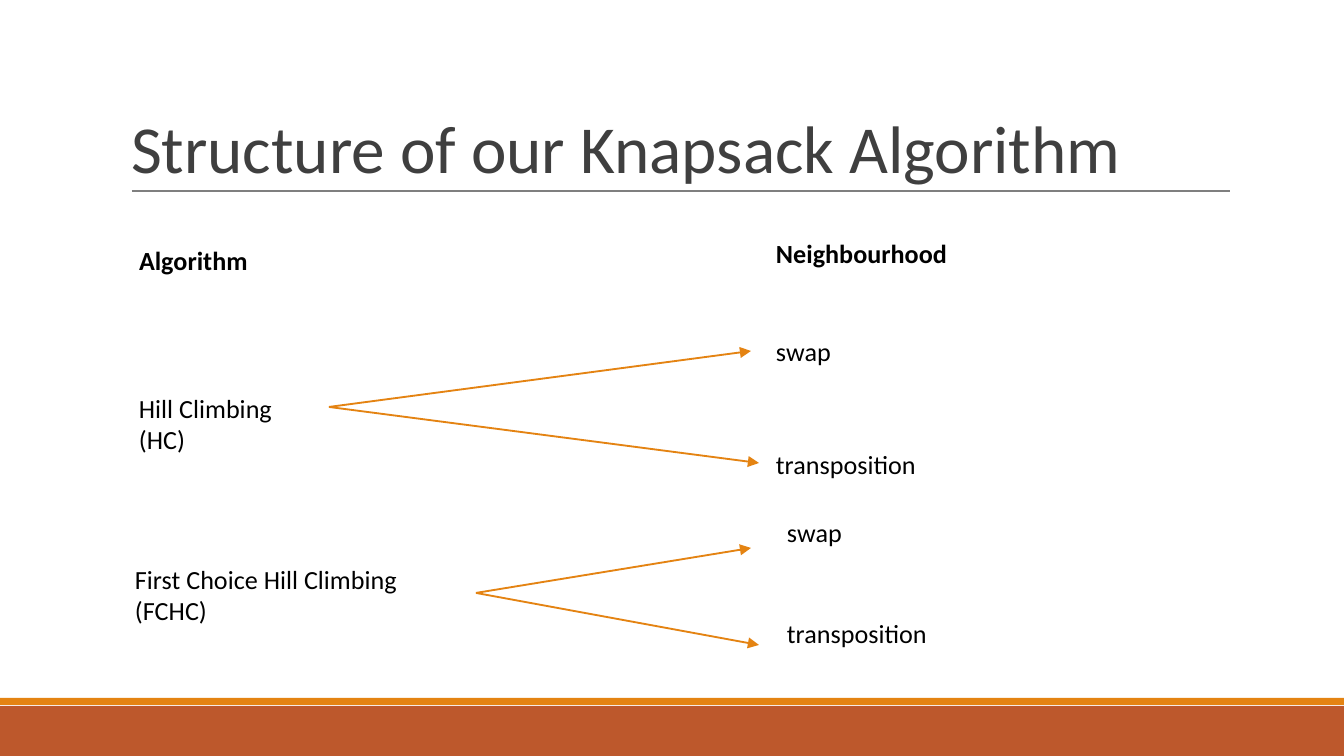
"""Builds the slide that maps each knapsack algorithm to its neighbourhoods."""
from lxml import etree
from pptx import Presentation
from pptx import util as u
from pptx.dml.color import RGBColor
from pptx.enum import shapes, text
from pptx.oxml.ns import qn

EMU_PER_PX = 914400 / 134.4
COLOURS = {
    "brick": "BD582C",
    "orange": "E48312",
    "rule": "7F7F7F",
    "title": "3F3F3F",
    "body": "000000",
}


def px(*lengths):
    return [u.Emu(round(length * EMU_PER_PX)) for length in lengths]


def colour(name):
    return RGBColor.from_string(COLOURS[name])


def assign(target, values):
    for name, value in values.items():
        setattr(target, name, value)


class Page:
    font = "Calibri"
    side, edge = px(10, 5)
    frame_format = {
        "margin_left": side,
        "margin_right": side,
        "margin_top": edge,
        "margin_bottom": edge,
        "word_wrap": True,
        "auto_size": text.MSO_AUTO_SIZE.NONE,
    }

    def __init__(self, deck):
        self.slide = deck.slides.add_slide(deck.slide_layouts[5])

    def fill_text(self, box, words, size, ink, bold=False,
                  anchor=text.MSO_ANCHOR.TOP, spacing=1.0):
        frame = box.text_frame
        assign(frame, self.frame_format | {"vertical_anchor": anchor})
        para = frame.paragraphs[0]
        assign(para, {"alignment": text.PP_ALIGN.LEFT, "line_spacing": spacing})
        span = para.add_run()
        span.text = words
        assign(span.font, {"name": self.font, "size": u.Pt(size), "bold": bold})
        span.font.color.rgb = colour(ink)

    def title(self, words, left, top, width, height):
        box = self.slide.shapes.title
        places = zip(("left", "top", "width", "height"),
                     px(left, top, width, height))
        assign(box, dict(places))
        self.fill_text(box, words, 36, "title",
                       anchor=text.MSO_ANCHOR.BOTTOM, spacing=0.85)

    def label(self, words, left, top, width, height=40, bold=False):
        box = self.slide.shapes.add_textbox(*px(left, top, width, height))
        self.fill_text(box, words, 14, "body", bold)
        return box

    def band(self, fill, top, height):
        bar = self.slide.shapes.add_shape(
            shapes.MSO_SHAPE.RECTANGLE, *px(0, top, 1344, height))
        bar.shadow.inherit = False
        bar.fill.solid()
        bar.fill.fore_color.rgb = colour(fill)
        bar.line.fill.background()

    def line(self, start, end, ink, weight):
        stroke = self.slide.shapes.add_connector(
            shapes.MSO_CONNECTOR.STRAIGHT, *px(*start, *end))
        stroke.line.color.rgb = colour(ink)
        stroke.line.width = u.Pt(weight)
        etree.SubElement(stroke._element.spPr, qn("a:effectLst"))
        return stroke

    def arrow(self, box, end):
        stroke = self.line((0, 0), end, "orange", 1)
        stroke.begin_connect(box, 3)
        outline = stroke.line._get_or_add_ln()
        etree.SubElement(outline, qn("a:tailEnd"), type="triangle")


def main():
    deck = Presentation()
    deck.slide_width, deck.slide_height = px(1344, 756)
    page = Page(deck)

    page.band("brick", 706, 50)
    page.band("orange", 698, 7)
    page.line((132, 191), (1230, 191), "rule", 0.75)
    page.title("Structure of our Knapsack Algorithm", 121, 32, 1109, 160)

    page.label("Algorithm", 129, 239, 246, bold=True)
    page.label("Neighbourhood", 766, 232, 246, bold=True)

    algorithms = [
        ("Hill Climbing (HC)", (129, 387, 200, 40), 766,
         [("swap", 330, 351), ("transposition", 443, 463)]),
        ("First Choice Hill Climbing (FCHC)", (125, 558, 351, 70), 777,
         [("swap", 511, 548), ("transposition", 612, 645)]),
    ]
    for name, place, left, neighbourhoods in algorithms:
        algorithm = page.label(name, *place)
        for (move, top, tip), tip_left in zip(neighbourhoods, (751, 759)):
            page.label(move, left, top, 395)
            page.arrow(algorithm, (tip_left, tip))

    deck.save("out.pptx")


if __name__ == "__main__":
    main()
